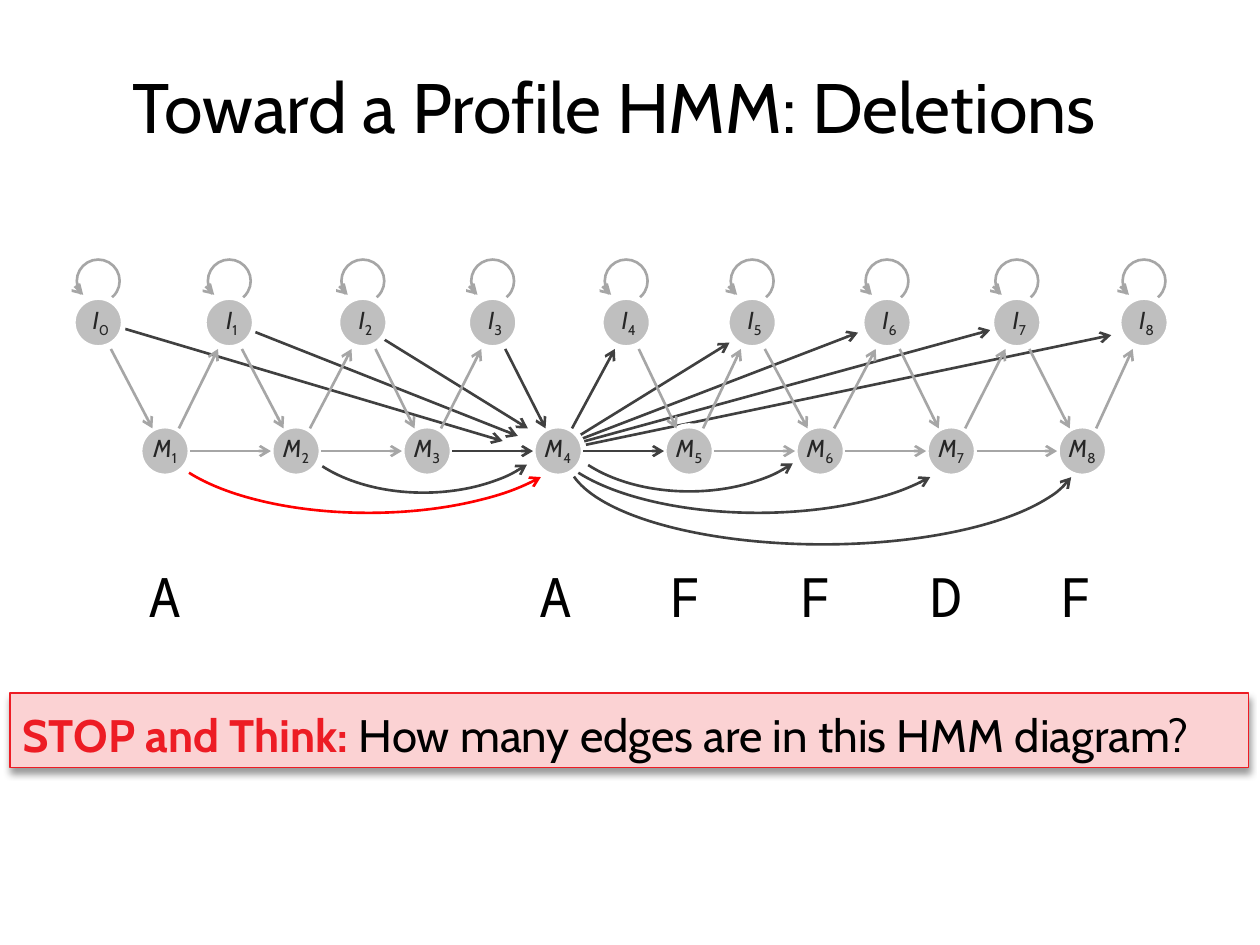
from lxml.etree import SubElement
from pptx import Presentation
from pptx.dml.color import RGBColor
from pptx.enum.shapes import MSO_CONNECTOR, MSO_SHAPE
from pptx.enum.text import MSO_ANCHOR, MSO_AUTO_SIZE, PP_ALIGN
from pptx.oxml.ns import qn
from pptx.util import Inches, Pt

BLACK = RGBColor(0x00, 0x00, 0x00)
WHITE = RGBColor(0xFF, 0xFF, 0xFF)
INK = RGBColor(0x26, 0x26, 0x26)
DARK = RGBColor(0x40, 0x40, 0x40)
GREY = RGBColor(0xA6, 0xA6, 0xA6)
NODE = RGBColor(0xBF, 0xBF, 0xBF)
RED = RGBColor(0xFF, 0x00, 0x00)
STOP_RED = RGBColor(0xED, 0x1C, 0x24)
PINK = RGBColor(0xFB, 0xD2, 0xD3)

# Grid of states: match states on a regular pitch, insertion states between them
MATCH_Y, INSERT_Y = 3.58, 2.56
DIAMETER = 0.4
match_x = {k: 0.27 + 1.04 * k for k in range(1, 9)}
insert_x = dict(enumerate([0.78, 1.82, 2.88, 3.91, 4.97, 5.97, 7.04, 8.07, 9.08]))

prs = Presentation()
prs.slide_width, prs.slide_height = Inches(10), Inches(7.5)
slide = prs.slides.add_slide(prs.slide_layouts[5])
shapes = slide.shapes


def add_arrow(x1, y1, x2, y2, color):
    edge = shapes.add_connector(MSO_CONNECTOR.STRAIGHT, Inches(x1), Inches(y1),
                                Inches(x2), Inches(y2))
    edge.line.color.rgb, edge.line.width = color, Pt(1.5)
    SubElement(edge.line._get_or_add_ln(), qn("a:tailEnd"), type="arrow")
    SubElement(edge._element.spPr, qn("a:effectLst"))


def add_arc(x, y, width, height, rotation, start, end, color):
    arc = shapes.add_shape(MSO_SHAPE.ARC, Inches(x), Inches(y), Inches(width), Inches(height))
    arc.rotation = rotation
    # Angles are stored in 60000ths of a degree, adjustments in 100000ths
    arc.adjustments[0], arc.adjustments[1] = start * 0.6, end * 0.6
    arc.fill.background()
    arc.line.color.rgb, arc.line.width = color, Pt(1.5)
    arc.shadow.inherit = False
    return arc


# Title
title = shapes.title
title.left, title.top, title.width, title.height = (
    Inches(0), Inches(0.42), Inches(9.75), Inches(0.83))
title.text_frame.text = "Toward a Profile HMM: Deletions"
title.text_frame.vertical_anchor = MSO_ANCHOR.MIDDLE
heading = title.text_frame.paragraphs[0]
heading.alignment = PP_ALIGN.CENTER
heading.font.name, heading.font.size, heading.font.color.rgb = "Cabin", Pt(40), BLACK

# Long edges into and out of M4
for x1, y1, x2, y2 in [
    (4.5, 3.54, 7.86, 2.62), (4.52, 3.52, 6.81, 2.64), (4.48, 3.53, 5.79, 2.72),
    (4.65, 3.53, 8.82, 2.66), (2.88, 2.59, 4.19, 3.4), (1.81, 2.55, 4.11, 3.46),
    (0.79, 2.55, 3.99, 3.5),
]:
    add_arrow(x1, y1, x2, y2, DARK)

# States with their labels
states = [("M", k, x, MATCH_Y, 0, 0.49) for k, x in match_x.items()]
states += [("I", k, x, INSERT_Y, 0.02, 0.37) for k, x in insert_x.items()]
for letter, k, x, y, shift, label_width in states:
    state = shapes.add_shape(MSO_SHAPE.OVAL, Inches(x - DIAMETER / 2),
                             Inches(y - DIAMETER / 2), Inches(DIAMETER), Inches(DIAMETER))
    state.fill.solid()
    state.fill.fore_color.rgb = NODE
    state.line.color.rgb, state.line.width = WHITE, Pt(3)
    state.shadow.inherit = False

    label = shapes.add_textbox(Inches(x + shift - label_width / 2), Inches(y - 0.19),
                               Inches(label_width), Inches(0.34)).text_frame
    label.word_wrap = False
    label.auto_size = MSO_AUTO_SIZE.SHAPE_TO_FIT_TEXT
    name = label.paragraphs[0]
    name.alignment = PP_ALIGN.CENTER
    name.font.name, name.font.size, name.font.color.rgb = "Cabin", Pt(14), INK
    symbol, index = name.add_run(), name.add_run()
    symbol.text, index.text = letter, str(k)
    symbol.font.italic = True
    index._r.get_or_add_rPr().set("baseline", "-25000")

# Curved deletion edges along the bottom
for x, y, width, height, start, end, color in [
    (4.39, 2.63, 2.16, 1.27, 206.59, 332.06, DARK),
    (2.28, 2.64, 2.16, 1.27, 206.59, 332.06, DARK),
    (1.22, 2.66, 3.41, 1.41, 197.11, 344.82, RED),
    (4.31, 2.66, 3.41, 1.41, 197.11, 344.82, DARK),
    (4.5, 2.92, 4.06, 1.4, 184.83, 355.32, DARK),
]:
    deletion = add_arc(x, y, width, height, 180, start, end, color)
    SubElement(deletion.line._get_or_add_ln(), qn("a:headEnd"), type="arrow")

# Self-loops of the insertion states
for x in insert_x.values():
    add_arc(x - 0.17, 2.06, 0.34, 0.34, 270, 232.5, 139.48, GREY)
    add_arrow(x - 0.13, 2.33, x - 0.12, 2.34, GREY)

# Edges between neighbouring states; those touching M4 are dark
for k, x in match_x.items():
    add_arrow(x + 0.11, 3.4, insert_x[k] - 0.09, 2.77, DARK if k == 4 else GREY)
    add_arrow(insert_x[k - 1] + 0.1, 2.77, x - 0.1, 3.4, DARK if k == 4 else GREY)
    if k + 1 in match_x:
        add_arrow(x + DIAMETER / 2, MATCH_Y, match_x[k + 1] - DIAMETER / 2, MATCH_Y,
                  DARK if k in (3, 4) else GREY)

# Emitted sequence, one tab stop per match column
sequence = shapes.add_textbox(Inches(1.08), Inches(4.42), Inches(8), Inches(0.64)).text_frame
sequence.word_wrap = True
emitted = sequence.paragraphs[0]
emitted.text = "A\tA\tF\tF\tD\tF"
tabs = SubElement(emitted._p.get_or_add_pPr(), qn("a:tabLst"))
for column in range(3, 8):
    SubElement(tabs, qn("a:tab"), pos=str(Pt(74.4 * column)), algn="l")
emitted.font.name, emitted.font.size, emitted.font.color.rgb = "Noto Sans Mono", Pt(31), BLACK

# Question banner with a soft shadow
banner = shapes.add_shape(MSO_SHAPE.RECTANGLE, Inches(0.08), Inches(5.5),
                          Inches(9.83), Inches(0.59))
banner.fill.solid()
banner.fill.fore_color.rgb = PINK
banner.line.color.rgb, banner.line.width = STOP_RED, Pt(0.75)
banner.shadow.inherit = False
shadow = SubElement(banner._element.spPr.find(qn("a:effectLst")), qn("a:outerShdw"),
                    blurRad=str(Pt(4)), dist=str(Pt(3)), dir="5400000", rotWithShape="0")
shade = SubElement(shadow, qn("a:srgbClr"), val=str(BLACK))
SubElement(shade, qn("a:alpha"), val="40000")
banner.text_frame.word_wrap = True
banner.text_frame.vertical_anchor = MSO_ANCHOR.BOTTOM
question = banner.text_frame.paragraphs[0]
question.alignment = PP_ALIGN.LEFT
question.font.name, question.font.size = "Cabin", Pt(26)
for words, color, bold in [("STOP and Think: ", STOP_RED, True),
                           ("How many edges are in this HMM diagram?", BLACK, False)]:
    part = question.add_run()
    part.text = words
    part.font.color.rgb, part.font.bold = color, bold

prs.save("out.pptx")
